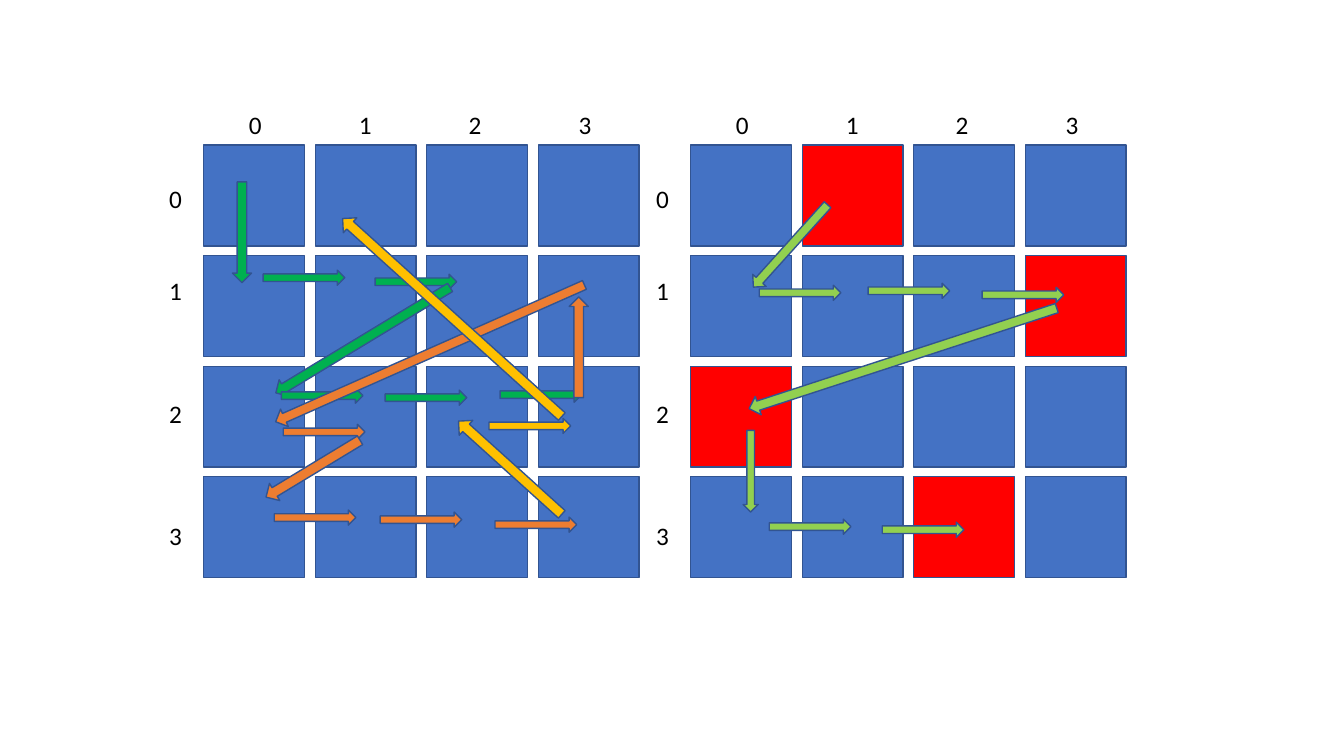
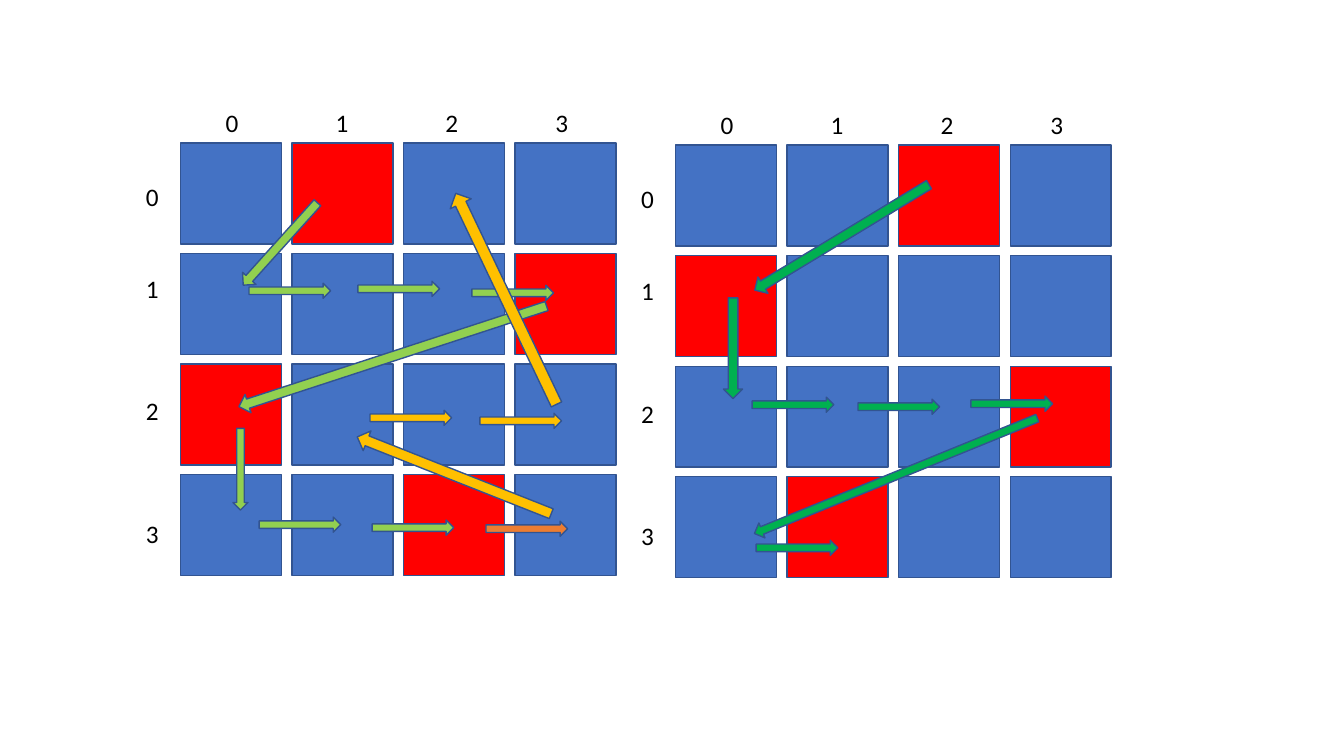
from pptx import Presentation
from pptx.dml.color import RGBColor
from pptx.enum.shapes import MSO_SHAPE
from pptx.enum.text import MSO_AUTO_SIZE
from pptx.oxml.ns import qn
from pptx.util import Inches, Pt
from lxml.etree import SubElement

BLUE = RGBColor(0x44, 0x72, 0xC4)
OUTLINE = RGBColor(0x32, 0x54, 0x91)
RED = RGBColor(0xFF, 0x00, 0x00)
GREEN = RGBColor(0x00, 0xB0, 0x50)
LIME = RGBColor(0x92, 0xD0, 0x50)
ORANGE = RGBColor(0xED, 0x7D, 0x31)
GOLD = RGBColor(0xFF, 0xC0, 0x00)
BLACK = RGBColor(0x00, 0x00, 0x00)

GRID_SIZE = 4
CELL = 1
SPAN_X, SPAN_Y = 3.32, 3.29
COLUMN_TAB = 1.09
ROW_GAPS = [0, 44, 66, 66]
STEP = (0.81, 0.15, 0)
FRAME_FORMAT = {"word_wrap": False, "auto_size": MSO_AUTO_SIZE.NONE}
FONT_FORMAT = {"name": "Calibri", "size": Pt(18)}

LIME_PATH = [
    (0.44, 0.91, 1.1, 0.18, 132),
    (0.68, 1.39, *STEP),
    (1.76, 1.37, *STEP),
    (2.89, 1.41, *STEP),
    (0.5, 2.02, 3.21, 0.19, 161.9),
    (0.78, 3.71, *STEP),
    (0.19, 3.16, 0.81, 0.15, 90),
    (1.9, 3.74, *STEP),
]
LIME_STOPS = {(0, 1), (1, 3), (2, 0), (3, 2)}

FULL_WALK = [
    (GREEN, [
        (-0.12, 0.77, 1, 0.19, 90),
        (0.59, 1.24, *STEP),
        (1.7, 1.28, *STEP),
        (0.57, 1.84, 2.02, 0.19, 148.8),
        (0.77, 2.41, *STEP),
        (1.8, 2.43, *STEP),
        (2.94, 2.4, *STEP),
    ]),
    (ORANGE, [
        (3.22, 1.91, 1, 0.19, 270),
        (0.57, 1.97, 3.35, 0.19, 156.1),
        (0.79, 2.77, *STEP),
        (0.54, 3.11, 1.09, 0.2, 148.8),
        (0.7, 3.62, *STEP),
        (1.75, 3.64, *STEP),
        (2.89, 3.69, *STEP),
    ]),
    (GOLD, [
        (2.35, 3.1, 1.38, 0.2, 222.1),
        (2.83, 2.71, *STEP),
        (1, 1.61, 2.93, 0.2, 222.1),
    ]),
]
EXTENDED_WALK = [
    (LIME, LIME_PATH),
    (ORANGE, [(3.03, 3.75, *STEP)]),
    (GOLD, [
        (1.68, 3.19, 2.07, 0.21, 201.6),
        (1.88, 2.65, *STEP),
        (2.97, 2.68, *STEP),
        (2.07, 1.43, 2.32, 0.23, 244.5),
    ]),
]
GREEN_WALK = [
    (GREEN, [
        (0.07, 1.92, 1, 0.19, 90),
        (0.8, 3.92, *STEP),
        (0.64, 0.82, 2.02, 0.19, 148.8),
        (0.76, 2.5, *STEP),
        (1.81, 2.52, *STEP),
        (2.93, 2.49, *STEP),
        (0.67, 3.2, 3.03, 0.16, 157.8),
    ]),
]
GREEN_STOPS = {(0, 2), (1, 0), (2, 3), (3, 1)}

SLIDES = [
    [(2.02, 1.44, set(), FULL_WALK), (6.85, 1.44, LIME_STOPS, [(LIME, LIME_PATH)])],
    [(6.7, 1.44, GREEN_STOPS, GREEN_WALK), (1.79, 1.42, LIME_STOPS, EXTENDED_WALK)],
]


def add_filled(slide, preset, left, top, width, height, color):
    shape = slide.shapes.add_shape(
        preset, Inches(left), Inches(top), Inches(width), Inches(height))
    shape.shadow.inherit = False
    shape.fill.solid()
    shape.fill.fore_color.rgb = color
    shape.line.color.rgb = OUTLINE
    shape.line.width = Pt(1)
    return shape


def add_labels(slide, left, top, width, height, text):
    frame = slide.shapes.add_textbox(
        Inches(left), Inches(top), Inches(width), Inches(height)).text_frame
    for attribute, value in FRAME_FORMAT.items():
        setattr(frame, attribute, value)
    frame.text = text
    for paragraph in frame.paragraphs:
        for run in paragraph.runs:
            for attribute, value in FONT_FORMAT.items():
                setattr(run.font, attribute, value)
            run.font.color.rgb = BLACK
    return frame.paragraphs


prs = Presentation()
prs.slide_width = Inches(13.33)
prs.slide_height = Inches(7.5)
indices = [str(index) for index in range(GRID_SIZE)]

for grids in SLIDES:
    slide = prs.slides.add_slide(prs.slide_layouts[6])
    for left, top, stops, walk in grids:
        for row in range(GRID_SIZE):
            for column in range(GRID_SIZE):
                add_filled(
                    slide, MSO_SHAPE.RECTANGLE,
                    left + SPAN_X * column / (GRID_SIZE - 1),
                    top + SPAN_Y * row / (GRID_SIZE - 1),
                    CELL, CELL, RED if (row, column) in stops else BLUE)

        column_labels = add_labels(
            slide, left + 0.35, top - 0.4, 3.79, 0.4, "\t".join(indices))
        tab_stops = SubElement(column_labels[0]._p.get_or_add_pPr(), qn("a:tabLst"))
        for column in range(1, GRID_SIZE):
            SubElement(tab_stops, qn("a:tab"),
                       pos=str(Inches(COLUMN_TAB * column)), algn="l")

        row_labels = add_labels(
            slide, left - 0.44, top + 0.33, 0.33, 4.04, "\n".join(indices))
        for label, gap in zip(row_labels, ROW_GAPS):
            label.space_before = Pt(gap)

        for color, moves in walk:
            for x, y, length, thickness, angle in moves:
                move = add_filled(slide, MSO_SHAPE.RIGHT_ARROW, left + x, top + y,
                                  length, thickness, color)
                move.rotation = angle

prs.save("out.pptx")
